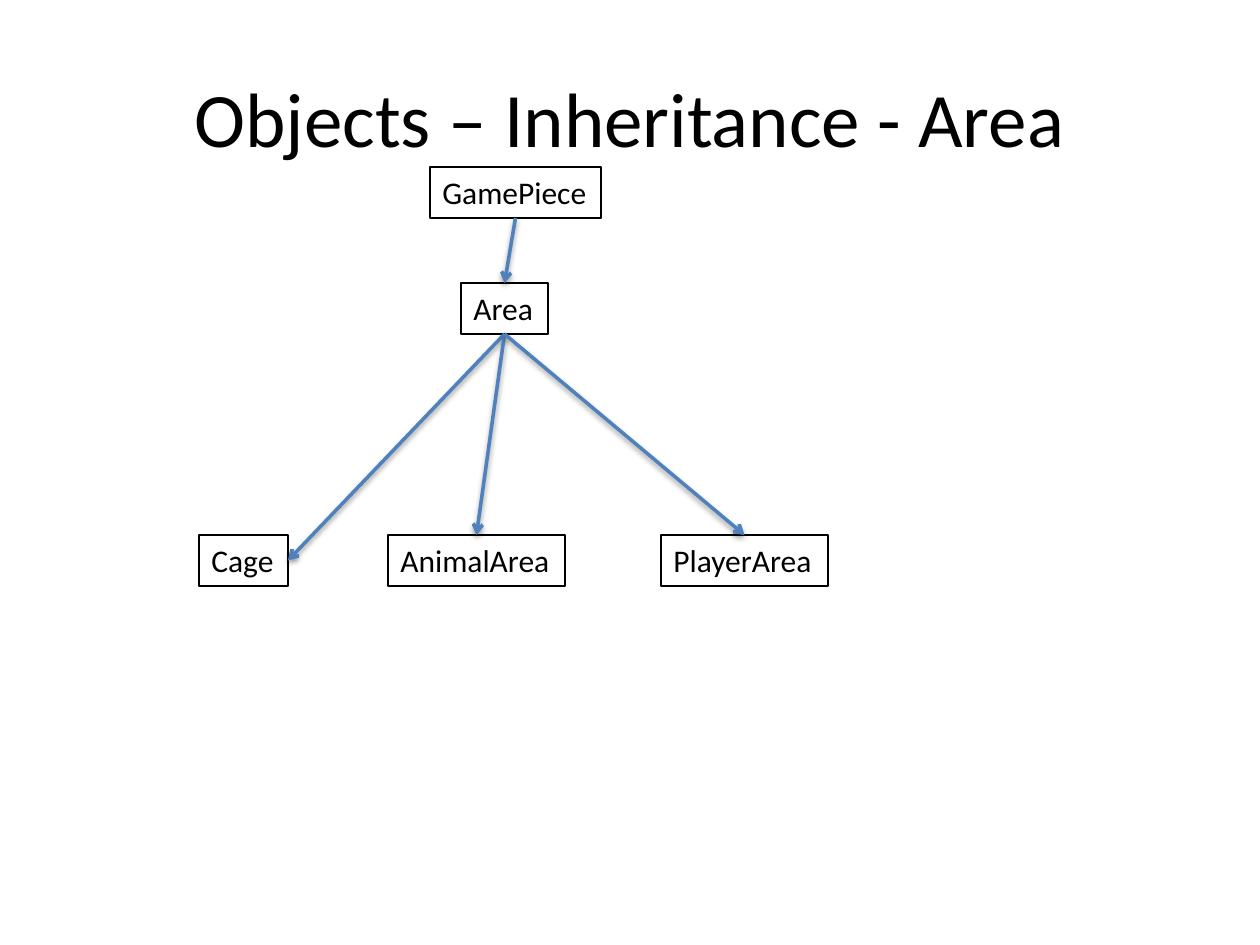
"""Build the Area inheritance diagram slide."""
from lxml.etree import SubElement
from pptx import Presentation
from pptx.dml.color import RGBColor
from pptx.enum.shapes import MSO_CONNECTOR as Connector
from pptx.enum.text import MSO_ANCHOR as Anchor, MSO_AUTO_SIZE as AutoSize, PP_ALIGN as Align
from pptx.oxml import parse_xml
from pptx.oxml.ns import nsdecls, qn
from pptx.util import Pt

TITLE = "Objects – Inheritance - Area"
TITLE_BOX = (63, 38, 1134, 157)
CLASS_HEIGHT = 51
CLASSES = {
    "GamePiece": (430, 167, 171),
    "Area": (461, 283, 87),
    "Cage": (199, 535, 89),
    "AnimalArea": (388, 535, 177),
    "PlayerArea": (661, 535, 167),
}
TOP, BOTTOM, RIGHT = 0, 2, 3
INHERITANCE = [
    ("GamePiece", "Area", TOP),
    ("Area", "Cage", RIGHT),
    ("Area", "AnimalArea", TOP),
    ("Area", "PlayerArea", TOP),
]
THEME = {
    "font": "Calibri",
    "title": Pt(44),
    "label": Pt(18),
    "ink": RGBColor(0, 0, 0),
    "arrow": RGBColor(0x4F, 0x81, 0xBD),
    "border": Pt(0.75),
    "stroke": Pt(2),
}
SHADOW = (
    f'<a:effectLst {nsdecls("a")}><a:outerShdw blurRad="40000" dist="20000" dir="5400000" '
    'rotWithShape="0"><a:srgbClr val="000000"><a:alpha val="38000"/></a:srgbClr>'
    "</a:outerShdw></a:effectLst>"
)


def px(length):
    """Turn pixels into EMU."""
    return round(length * 914400 / 126)


def add_label(slide, text, box, size, align):
    """Add a text box holding one paragraph."""
    label = slide.shapes.add_textbox(*map(px, box))
    paragraph = label.text_frame.paragraphs[0]
    paragraph.text = text
    paragraph.alignment = align
    paragraph.font.name = THEME["font"]
    paragraph.font.size = size
    paragraph.font.color.rgb = THEME["ink"]
    return label


def add_class(slide, name, left, top, width):
    """Add a bordered class box."""
    box = (left, top, width, CLASS_HEIGHT)
    node = add_label(slide, name, box, THEME["label"], Align.LEFT)
    node.text_frame.word_wrap = False
    node.text_frame.auto_size = AutoSize.SHAPE_TO_FIT_TEXT
    node.line.color.rgb = THEME["ink"]
    node.line.width = THEME["border"]
    return node


def add_arrow(slide, parent, child, side):
    """Join the bottom of a parent to one side of its child."""
    arrow = slide.shapes.add_connector(Connector.STRAIGHT, 0, 0, 0, 0)
    arrow.begin_connect(parent, BOTTOM)
    arrow.end_connect(child, side)
    arrow.line.color.rgb = THEME["arrow"]
    arrow.line.width = THEME["stroke"]
    SubElement(arrow.line._get_or_add_ln(), qn("a:tailEnd"), type="arrow")
    arrow._element.spPr.append(parse_xml(SHADOW))


deck = Presentation()
deck.slide_width, deck.slide_height = px(1260), px(945)
slide = deck.slides.add_slide(deck.slide_layouts[6])

title = add_label(slide, TITLE, TITLE_BOX, THEME["title"], Align.CENTER)
title.text_frame.word_wrap = True
title.text_frame.vertical_anchor = Anchor.MIDDLE

nodes = {name: add_class(slide, name, *place) for name, place in CLASSES.items()}
for parent, child, side in INHERITANCE:
    add_arrow(slide, nodes[parent], nodes[child], side)

deck.save("out.pptx")
